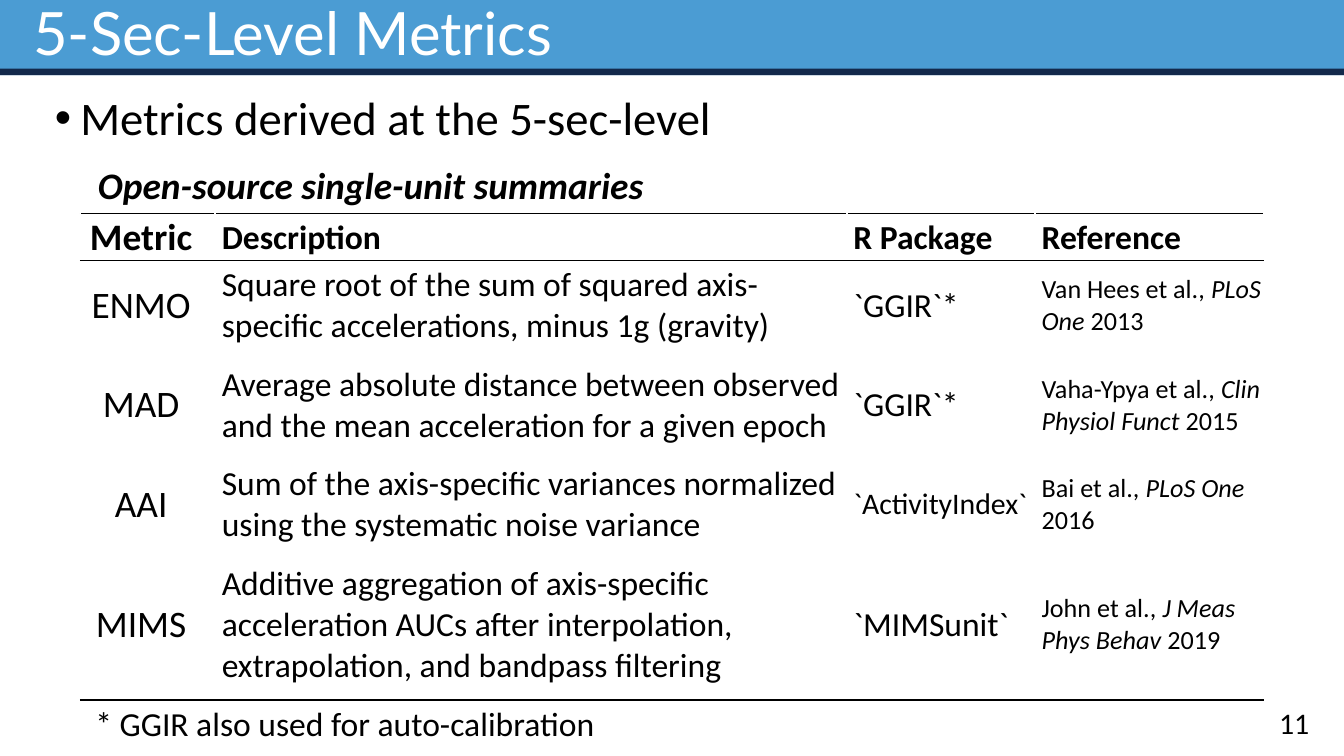
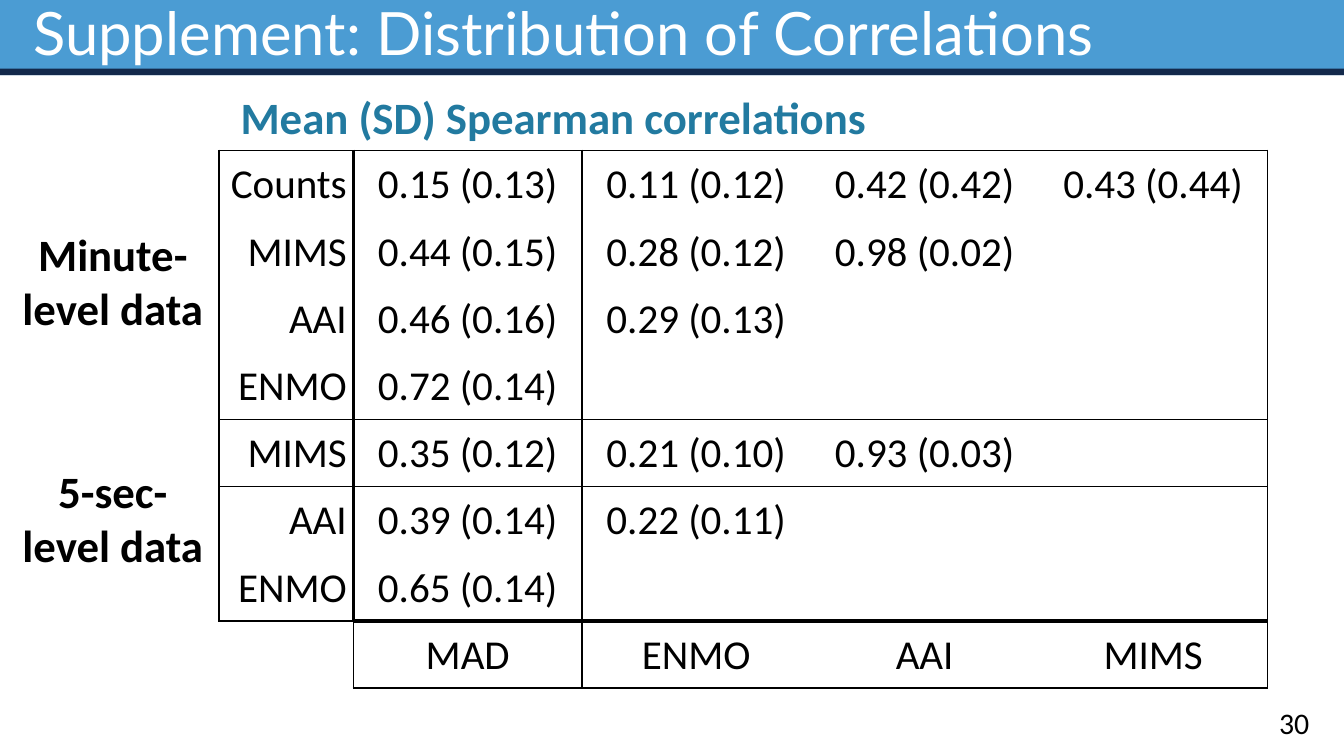
from pptx import Presentation
from pptx.dml.color import RGBColor
from pptx.enum.shapes import MSO_SHAPE
from pptx.enum.text import MSO_ANCHOR, PP_ALIGN
from pptx.oxml.ns import qn
from pptx.util import Inches, Pt
from lxml import etree

RECT = MSO_SHAPE.RECTANGLE
TOP, MIDDLE = MSO_ANCHOR.TOP, MSO_ANCHOR.MIDDLE
LEFT, CENTER, RIGHT = PP_ALIGN.LEFT, PP_ALIGN.CENTER, PP_ALIGN.RIGHT

COLORS = {"sky": "4B9CD3", "navy": "13294B", "white": "FFFFFF",
          "black": "000000", "teal": "227AA0"}
COLS, ROWS = 100, 56.25
WIDTH, HEIGHT = Inches(10), Inches(5.625)
BODY_INSETS = (0.1, 0.05, 0.1, 0.05)
BAR_INSETS = (0.1, 0, 0.1, 0)
NO_INSETS = (0, 0, 0, 0)

SUMMARY_HEAD = ["Metric", "Description", "R Package", "Reference"]
SUMMARY = [
    ["ENMO", "Square root of the sum of squared axis-specific accelerations, minus 1g (gravity)",
     "`GGIR`*", "Van Hees et al., |PLoS One| 2013"],
    ["MAD", "Average absolute distance between observed and the mean acceleration for a given epoch",
     "`GGIR`*", "Vaha-Ypya et al., |Clin Physiol Funct |2015"],
    ["AAI", "Sum of the axis-specific variances normalized using the systematic noise variance",
     "`ActivityIndex`", "Bai et al., |PLoS One| 2016"],
    ["MIMS", "Additive aggregation of axis-specific acceleration AUCs after interpolation, "
     "extrapolation, and bandpass filtering",
     "`MIMSunit`", "John et al., |J Meas Phys Behav |2019"],
]
CORRELATIONS = [
    ["Counts", "0.15 (0.13)", "0.11 (0.12)", "0.42 (0.42)", "0.43 (0.44)"],
    ["MIMS", "0.44 (0.15)", "0.28 (0.12)", "0.98 (0.02)", ""],
    ["AAI", "0.46 (0.16)", "0.29 (0.13)", "", ""],
    ["ENMO", "0.72 (0.14)", "", "", ""],
    ["MIMS", "0.35 (0.12)", "0.21 (0.10)", "0.93 (0.03)", ""],
    ["AAI", "0.39 (0.14)", "0.22 (0.11)", "", ""],
    ["ENMO", "0.65 (0.14)", "", "", ""],
    ["", "MAD", "ENMO", "AAI", "MIMS"],
]


def rgb(name):
    return RGBColor.from_string(COLORS[name])


def place(box):
    x, y, w, h = box
    return (int(WIDTH * x / COLS), int(HEIGHT * y / ROWS),
            int(WIDTH * w / COLS), int(HEIGHT * h / ROWS))


def write(tf, text, size=18, font="Calibri", color="black", bold=False,
          italic=False, align=LEFT, spacing=None, bullet=None):
    p = tf.paragraphs[0]
    if bullet:
        pPr = p._p.get_or_add_pPr()
        pPr.set("marL", str(Inches(0.19)))
        pPr.set("indent", str(Inches(-0.19)))
        etree.SubElement(pPr, qn("a:buFont"), typeface="Arial")
        etree.SubElement(pPr, qn("a:buChar"), char=bullet)
    p.alignment = align
    if spacing:
        p.line_spacing = spacing
    for i, part in enumerate(text.split("|")):
        r = p.add_run()
        r.text = part
        r.font.name, r.font.size = font, Pt(size)
        r.font.bold, r.font.italic = bold, italic != (i % 2 == 1)
        r.font.color.rgb = rgb(color)


def set_insets(obj, insets):
    left, top, right, bottom = insets
    obj.margin_left, obj.margin_top = Inches(left), Inches(top)
    obj.margin_right, obj.margin_bottom = Inches(right), Inches(bottom)


def add_text(s, box, text, insets=BODY_INSETS, anchor=TOP, **fmt):
    tf = s.shapes.add_textbox(*place(box)).text_frame
    tf.word_wrap = True
    tf.vertical_anchor = anchor
    set_insets(tf, insets)
    write(tf, text, **fmt)


def add_band(s, box, color):
    sp = s.shapes.add_shape(RECT, *place(box))
    sp.shadow.inherit = False
    sp.fill.solid()
    sp.fill.fore_color.rgb = rgb(color)
    sp.line.fill.background()


def set_borders(cell, **edges):
    tcPr = cell._tc.get_or_add_tcPr()
    for i, side in enumerate("LRTB"):
        color, width = edges.get(side) or (None, 1)
        ln = etree.Element(qn("a:ln" + side), w=str(Pt(width)))
        if color:
            fill = etree.SubElement(ln, qn("a:solidFill"))
            etree.SubElement(fill, qn("a:srgbClr"), val=COLORS[color])
        else:
            etree.SubElement(ln, qn("a:noFill"))
        tcPr.insert(i, ln)


def add_grid(s, box, widths, heights):
    x, y, w, h = place(box)
    tbl = s.shapes.add_table(len(heights), len(widths), x, y, w, h).table
    tbl.first_row = tbl.horz_banding = False
    for col, share in zip(tbl.columns, widths):
        col.width = int(w * share / sum(widths))
    for row, share in zip(tbl.rows, heights):
        row.height = int(h * share / sum(heights))
    for cell in tbl.iter_cells():
        cell.fill.background()
        cell.vertical_anchor = MIDDLE
    return tbl


def add_frame(prs, title, number):
    s = prs.slides.add_slide(prs.slide_layouts[6])
    add_band(s, (0, 0, COLS, 5.6), "sky")
    add_band(s, (0, 5.1, COLS, 0.5), "navy")
    add_text(s, (1.5, 0.2, 97, 5), title, BAR_INSETS, MIDDLE,
             size=32, font="Lato", color="white", spacing=0.9)
    add_text(s, (75.9, 52.3, 22.5, 3), number, BAR_INSETS, MIDDLE,
             size=16, align=RIGHT)
    return s


def summary_table(s, box):
    tbl = add_grid(s, box, [10, 47, 14, 17], [3.5, 7.4, 7.4, 7.4, 10.5, 3.7])
    rule, gap = ("black", 0.75), ("white", 1)
    last = len(SUMMARY)
    for i, row in enumerate([SUMMARY_HEAD] + SUMMARY):
        for j, text in enumerate(row):
            cell = tbl.cell(i, j)
            top, bottom = (0.01, 0) if i == 0 else (0.03, 0.1)
            left, right = (0, 0.1) if j == 0 else (0.05, 0.01)
            set_insets(cell, (left, top, right, bottom))
            size = 20 if j == 0 else 18
            if i > 0 and j == 3:
                size = 14
            elif text == "`ActivityIndex`":
                size = 16
            write(cell.text_frame, text, size=size, bold=i == 0,
                  align=CENTER if j == 0 else LEFT)
            set_borders(cell, L=gap, R=gap, T=rule if i < 2 else gap,
                        B=rule if i in (0, last) else gap)
    for j in range(4):
        cell = tbl.cell(last + 1, j)
        set_insets(cell, (0.11, 0.03, 0.1, 0.03))
        set_borders(cell, T=rule)
    note = tbl.cell(last + 1, 0)
    note.merge(tbl.cell(last + 1, 3))
    write(note.text_frame, "* GGIR also used for auto-calibration")


def correlation_table(s, box):
    tbl = add_grid(s, box, [10, 17, 17, 17, 17], [1] * len(CORRELATIONS))
    thin, thick = ("black", 1), ("black", 2.25)
    axis = len(CORRELATIONS) - 1
    row_rules = {0: thin, 4: thin, 5: thin, axis: thick, axis + 1: thin}
    col_rules = {0: thin, 1: thick, 2: thin, 5: thin}
    axis_rules = {**col_rules, 0: None, 1: thin}
    label_rules = {**row_rules, axis: thin, axis + 1: None}
    for i, row in enumerate(CORRELATIONS):
        for j, text in enumerate(row):
            cell = tbl.cell(i, j)
            set_insets(cell, (0.01, 0.01, 0.01 if j else 0.05, 0))
            if text:
                write(cell.text_frame, text, size=22, align=CENTER if j else RIGHT)
            across = row_rules if j else label_rules
            down = axis_rules if i == axis else col_rules
            set_borders(cell, L=down.get(j), R=down.get(j + 1),
                        T=across.get(i), B=across.get(i + 1))


def metrics_slide(prs):
    s = add_frame(prs, "5-Sec-Level Metrics", "11")
    summary_table(s, (6, 15.9, 88, 39.9))
    add_text(s, (6.3, 11.6, 43.4, 4.4), "Open-source single-unit summaries",
             size=20, bold=True, italic=True)
    add_text(s, (3.1, 6.6, 87, 6), "Metrics derived at the 5-sec-level",
             size=25, spacing=0.9, bullet="•")


def correlations_slide(prs):
    s = add_frame(prs, "Supplement: Distribution of Correlations", "30")
    correlation_table(s, (16.3, 11.2, 78, 40))
    for row, label in [(34.5, "5-sec- level data"), (16.9, "Minute-level data")]:
        add_text(s, (1.1, row, 14.6, 8.1), label, NO_INSETS,
                 size=24, bold=True, align=CENTER)
    add_text(s, (17.9, 6.7, 49.7, 4), "Mean (SD) Spearman correlations", NO_INSETS,
             size=24, bold=True, color="teal")


def main():
    prs = Presentation()
    prs.slide_width, prs.slide_height = WIDTH, HEIGHT
    metrics_slide(prs)
    correlations_slide(prs)
    prs.save("out.pptx")


if __name__ == "__main__":
    main()
